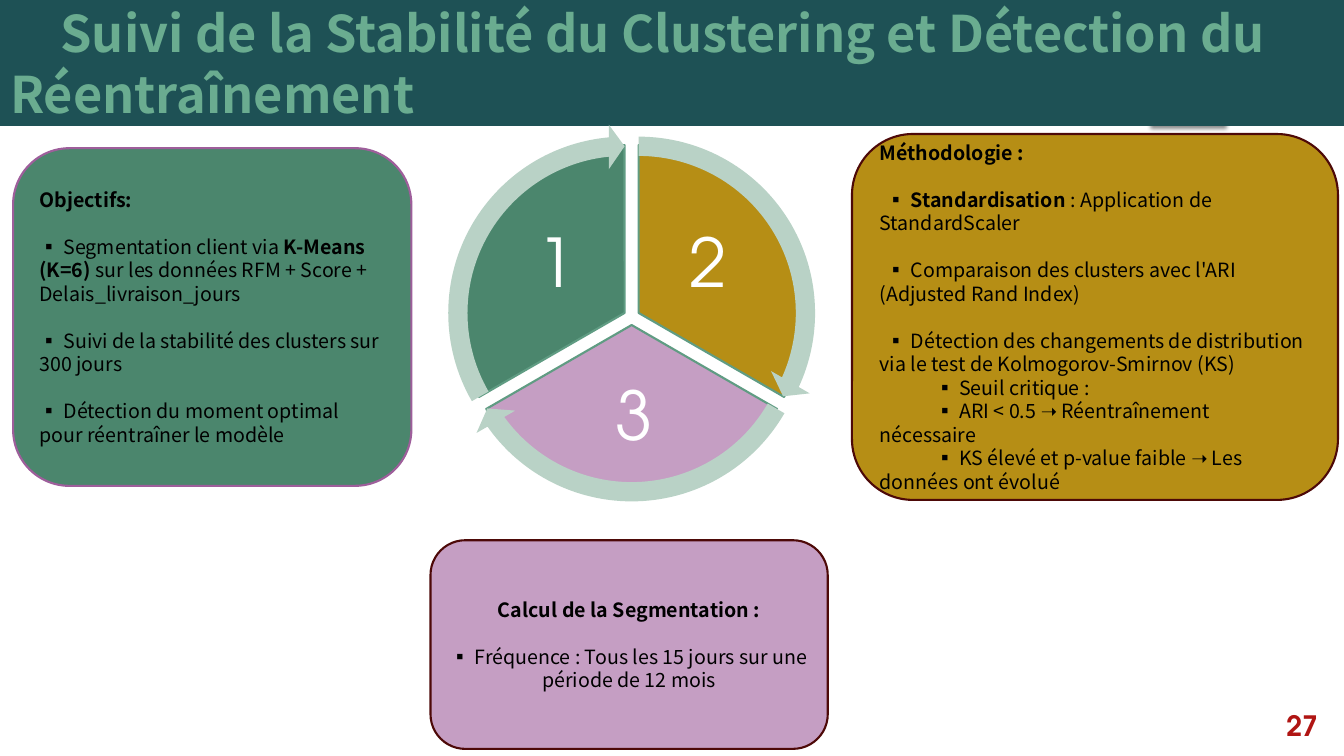
from lxml import etree
from pptx import Presentation
from pptx.dml.color import RGBColor
from pptx.enum.shapes import MSO_SHAPE
from pptx.enum.text import MSO_ANCHOR, MSO_AUTO_SIZE, PP_ALIGN
from pptx.oxml import parse_xml
from pptx.oxml.ns import nsdecls
from pptx.util import Inches, Pt

TITLE = "Suivi de la Stabilité du Clustering et Détection du Réentraînement"
PAGE = "27"

GOALS = [
    (0, 0, [("Objectifs:", True)]),
    (1, 0, [("▪ Segmentation client via ", False), ("K-Means (K=6)", True),
            (" sur les données RFM + Score + Delais_livraison_jours", False)]),
    (1, 0, [("▪ Suivi de la stabilité des clusters sur 300 jours", False)]),
    (1, 0, [("▪ Détection du moment optimal pour réentraîner le modèle", False)]),
]
METHOD = [
    (0, 0, [("Méthodologie :", True)]),
    (1, 0.07, [("▪ ", False), ("Standardisation ", True), (": Application de", False)]),
    (0, 0, [("StandardScaler", False)]),
    (1, 0.07, [("▪ Comparaison des clusters avec l'ARI (Adjusted Rand Index)", False)]),
    (1, 0.07, [("▪ Détection des changements de distribution via le test de "
                "Kolmogorov-Smirnov (KS)", False)]),
    (0, 0.55, [("▪ Seuil critique :", False)]),
    (0, 0.55, [("▪ ARI < 0.5 ➝ Réentraînement nécessaire", False)]),
    (0, 0.55, [("▪ KS élevé et p-value faible ➝ Les données ont évolué", False)]),
]
COUNT = [
    (0, 0, [("Calcul de la Segmentation :", True)]),
    (1, 0, [("▪ Fréquence : Tous les 15 jours sur une période de 12 mois", False)]),
]

THEME = {
    "sans": "Noto Sans CJK JP", "geo": "TeX Gyre Adventor",
    "band": "1E5155", "head": "6AAC90", "red": "B01513", "ink": "000000",
    "white": "FFFFFF", "green": "4B866D", "gold": "B68E15", "mauve": "C59EC3",
    "rim": "609C83", "arrow": "B9D2C6", "plum": "9E5E9B", "dark": "4D0908",
    "title": 36, "digit": 48, "body": 14, "page": 20, "lead": 16.8,
}

CARDS = [
    ((0.13, 1.47, 3.95, 3.35), "green", "plum", PP_ALIGN.LEFT, GOALS),
    ((8.45, 1.33, 4.82, 3.63), "gold", "dark", PP_ALIGN.LEFT, METHOD),
    ((4.27, 5.36, 3.94, 2.07), "mauve", "dark", PP_ALIGN.CENTER, COUNT),
]
PIE, RING, INSET = 3.33, 3.75, 0.21
SLICES = [
    ("2", "gold", (4.67, 1.44), (162, 18), (14.725, 161.994), (6.43, 2.14, 1.19, 0.99)),
    ("3", "mauve", (4.6, 1.56), (18, 90), (86.72, 18.005), (5.39, 3.72, 1.79, 0.87)),
    ("1", "green", (4.53, 1.44), (90, 162), (158.73, 90), (4.92, 2.14, 1.19, 0.99)),
]


def tint(name):
    return RGBColor.from_string(THEME[name])


def style(font, face, size, color, bold=False):
    font.name, font.size, font.bold = THEME[face], Pt(THEME[size]), bold
    font.color.rgb = tint(color)


def draw(slide, kind, box, fill, line=None, adjust=()):
    shape = slide.shapes.add_shape(kind, *map(Inches, box))
    shape.shadow.inherit = False
    shape.fill.solid()
    shape.fill.fore_color.rgb = tint(fill)
    if line:
        shape.line.color.rgb = tint(line)
        shape.line.width = Pt(1.5)
    else:
        shape.line.fill.background()
    for i, value in enumerate(adjust):
        shape.adjustments[i] = value
    return shape


def label(slide, box, text, face, size, color, bold=False, align=PP_ALIGN.LEFT, pad=0.1):
    frame = slide.shapes.add_textbox(*map(Inches, box)).text_frame
    frame.word_wrap = True
    frame.vertical_anchor = MSO_ANCHOR.MIDDLE
    frame.margin_left = frame.margin_right = Inches(pad)
    para = frame.paragraphs[0]
    para.text, para.alignment = text, align
    style(para.font, face, size, color, bold)
    return para


def indent(para, inches):
    para._p.get_or_add_pPr().set("indent", str(Inches(inches)))


def header(slide):
    tab = draw(slide, MSO_SHAPE.RECTANGLE, (11.41, 0, 0.75, 1.25), "red")
    glow = tab._element.spPr.find("{*}effectLst")
    glow.append(parse_xml(
        f'<a:outerShdw {nsdecls("a")} blurRad="{Pt(3)}" dist="{Pt(2)}" dir="5400000">'
        '<a:srgbClr val="000000"><a:alpha val="45000"/></a:srgbClr></a:outerShdw>'))
    title = slide.shapes.title
    tab._element.addnext(title._element)
    title.left, title.top, title.width, title.height = map(Inches, (0, 0, 13.33, 1.25))
    title.fill.solid()
    title.fill.fore_color.rgb = tint("band")
    frame = title.text_frame
    frame.auto_size = MSO_AUTO_SIZE.NONE
    frame.vertical_anchor = MSO_ANCHOR.MIDDLE
    para = frame.paragraphs[0]
    para.text, para.alignment = TITLE, PP_ALIGN.LEFT
    indent(para, 0.5)
    style(para.font, "sans", "title", "head", True)


def cycle(slide):
    for _, fill, (x, y), span, _, _ in SLICES:
        draw(slide, MSO_SHAPE.PIE, (x, y, PIE, PIE), fill, "rim", span)
    for digit, _, (x, y), _, (end, start), box in SLICES:
        draw(slide, MSO_SHAPE.CIRCULAR_ARROW, (x - INSET, y - INSET, RING, RING),
             "arrow", adjust=(0.051, 3.275, end, start, 0.059))
        para = label(slide, box, digit, "geo", "digit", "white",
                     align=PP_ALIGN.CENTER, pad=0.07)
        para.line_spacing = 0.9


def card(slide, box, fill, line, align, lines):
    frame = draw(slide, MSO_SHAPE.ROUNDED_RECTANGLE, box, fill, line).text_frame
    frame.word_wrap = True
    frame.vertical_anchor = MSO_ANCHOR.MIDDLE
    for i, (gap, shift, runs) in enumerate(lines):
        para = frame.paragraphs[0] if i == 0 else frame.add_paragraph()
        para.alignment = align
        para.space_before = Pt(gap * THEME["lead"])
        indent(para, shift)
        style(para.font, "sans", "body", "ink")
        for text, bold in runs:
            run = para.add_run()
            run.text, run.font.bold = text, bold


def main():
    deck = Presentation()
    deck.slide_width, deck.slide_height = Inches(13.33), Inches(7.5)
    slide = deck.slides.add_slide(deck.slide_layouts[5])
    header(slide)
    cycle(slide)
    for item in CARDS:
        card(slide, *item)
    label(slide, (12.66, 7.03, 0.56, 0.34), PAGE, "geo", "page", "red", True)
    deck.save("out.pptx")


if __name__ == "__main__":
    main()
